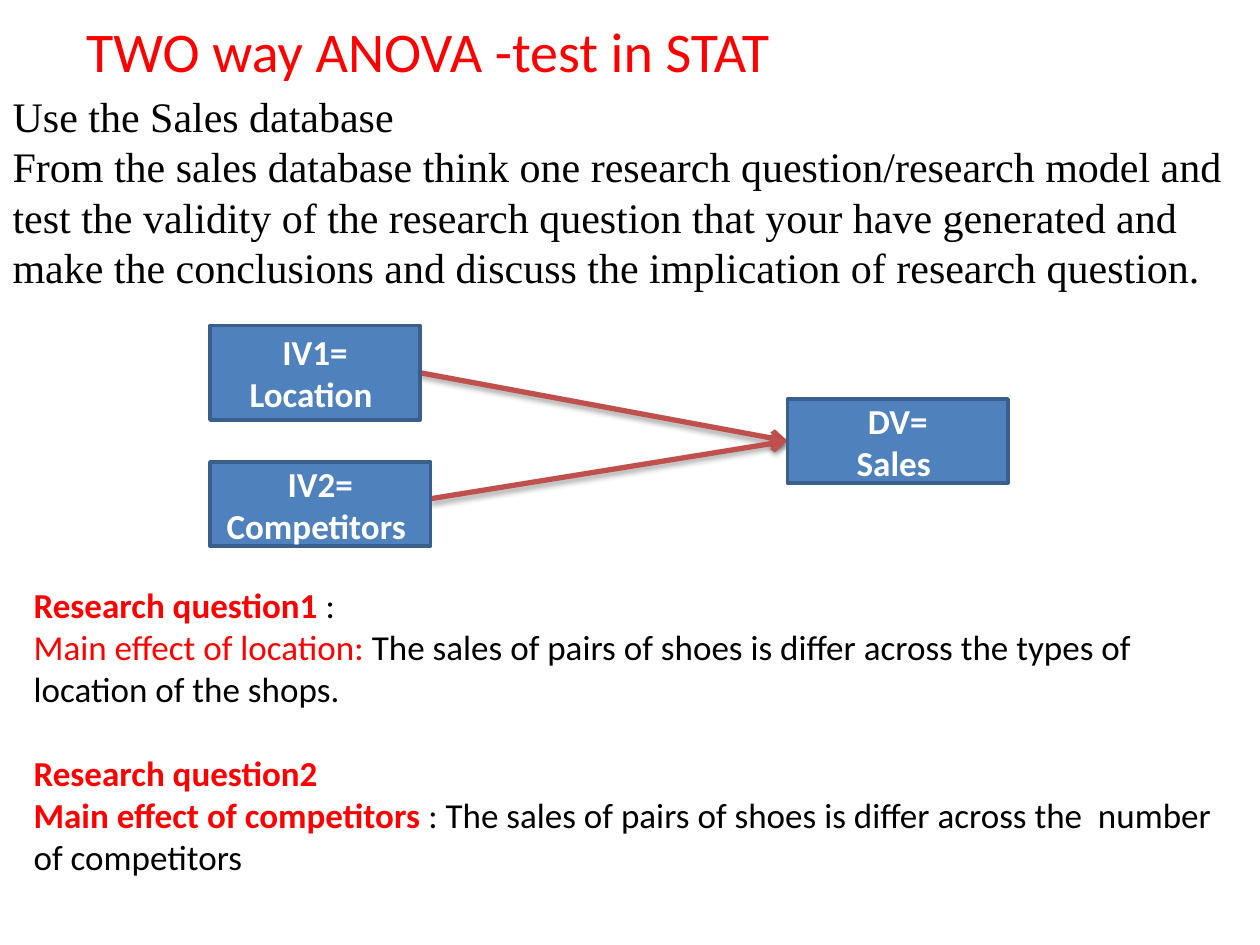
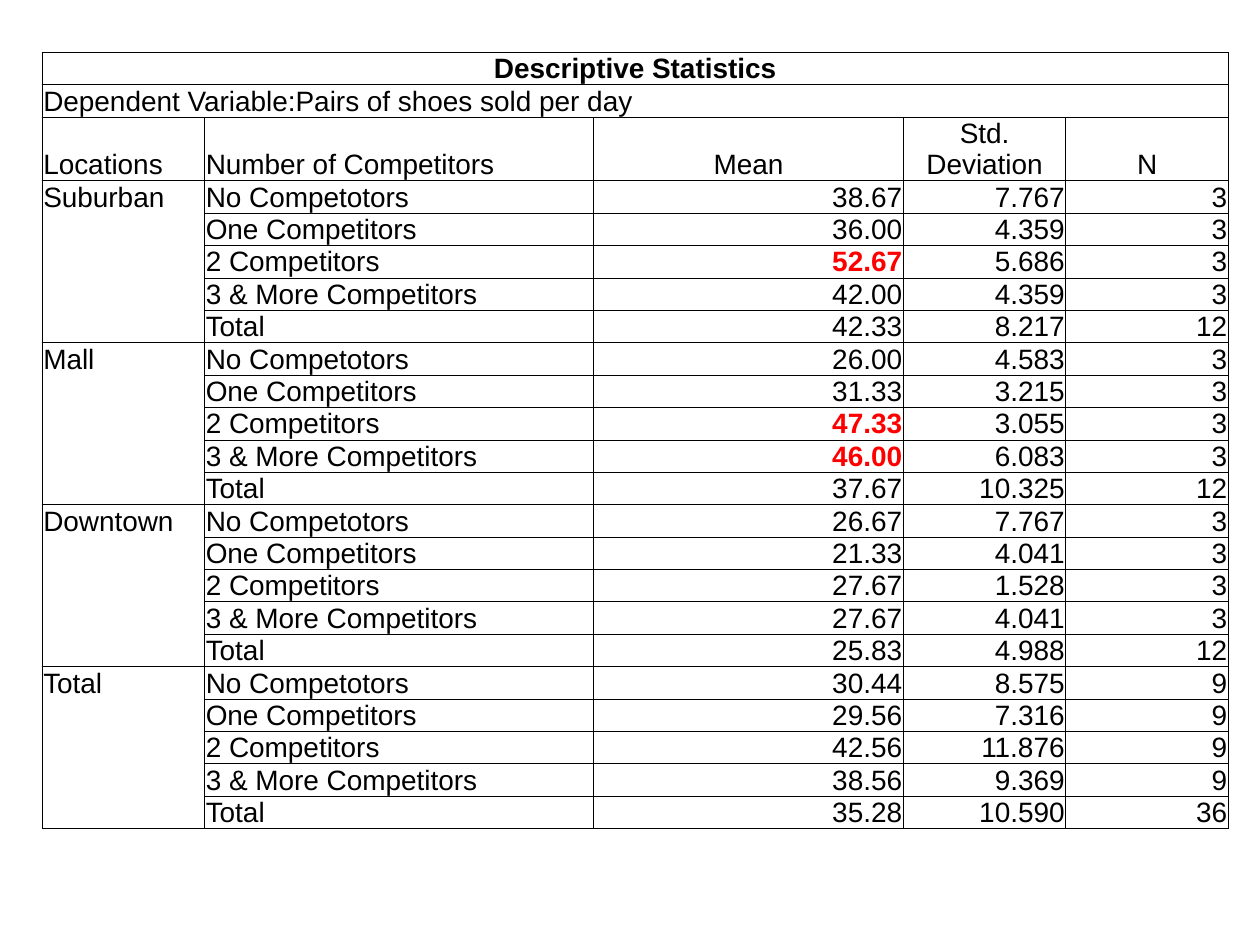
import collections

import lxml.etree
import pptx
import pptx.dml.color
import pptx.enum.shapes
import pptx.enum.text
import pptx.oxml
import pptx.oxml.ns
import pptx.util

Box = collections.namedtuple("Box", "left top width height")
Align = pptx.enum.text.PP_ALIGN
Anchor = pptx.enum.text.MSO_ANCHOR
qn = pptx.oxml.ns.qn

# Theme: colours, fonts and type styles; lengths are cells of a 120 x 90 grid
GRID = pptx.util.Inches(10) / 120
COLOURS = {"black": "000000", "red": "FF0000", "white": "FFFFFF",
           "fill": "4F81BD", "edge": "3A5F8C", "arrow": "C0504D"}
STYLES = {
    "title": {"name": "Calibri", "size": 32, "colour": "red"},
    "intro": {"name": "Times New Roman", "size": 24, "colour": "black"},
    "plain": {"name": "Calibri", "size": 20, "colour": "black", "bold": False},
    "accent": {"name": "Calibri", "size": 20, "colour": "red", "bold": False},
    "strong": {"name": "Calibri", "size": 20, "colour": "red", "bold": True},
    "node": {"name": "Calibri", "size": 20, "colour": "white", "bold": True},
    "cell": {"name": "Arial", "size": 16, "colour": "black", "bold": False},
    "heading": {"name": "Arial", "size": 16, "colour": "black", "bold": True},
    "peak": {"name": "Arial", "size": 16, "colour": "red", "bold": True},
}


def grid(cells):
    return pptx.util.Emu(round(cells * GRID))


def colour(name):
    return pptx.dml.color.RGBColor.from_string(COLOURS[name])


def apply(target, formats):
    for key, value in formats.items():
        setattr(target, key, value)


def place(shape, box):
    apply(shape, {side: grid(cells) for side, cells in box._asdict().items()})


def add_span(para, text, style):
    span = para.add_run()
    span.text = text
    formats = dict(STYLES[style])
    span.font.color.rgb = colour(formats.pop("colour"))
    formats["size"] = pptx.util.Pt(formats["size"])
    apply(span.font, formats)


def write(frame, paras, align=Align.LEFT):
    """Write paragraphs, each a list of (text, style) spans."""
    for index, spans in enumerate(paras):
        para = frame.add_paragraph() if index else frame.paragraphs[0]
        apply(para, {"alignment": align, "space_before": pptx.util.Pt(0)})
        for text, style in spans:
            add_span(para, text, style)


def fill_placeholder(holder, box, paras):
    """Place a placeholder and write unbulleted text in it."""
    place(holder, box)
    frame = holder.text_frame
    apply(frame, {"word_wrap": True, "vertical_anchor": Anchor.TOP,
                  "auto_size": pptx.enum.text.MSO_AUTO_SIZE.SHAPE_TO_FIT_TEXT})
    write(frame, paras)
    for para in frame.paragraphs:
        props = para._p.get_or_add_pPr()
        props.set("marL", "0")
        props.set("indent", "0")
        lxml.etree.SubElement(props, qn("a:buNone"))


# Research model diagram
def add_node(page, box, lines):
    node = page.shapes.add_shape(pptx.enum.shapes.MSO_SHAPE.RECTANGLE, *map(grid, box))
    node.shadow.inherit = False
    node.fill.solid()
    node.fill.fore_color.rgb = colour("fill")
    node.line.color.rgb = colour("edge")
    node.line.width = pptx.util.Pt(2)
    node.text_frame.vertical_anchor = Anchor.MIDDLE
    write(node.text_frame, [[(line, "node")] for line in lines], Align.CENTER)


def add_arrow(page, start, end):
    arrow = page.shapes.add_connector(pptx.enum.shapes.MSO_CONNECTOR.STRAIGHT,
                                      *map(grid, start + end))
    arrow.line.color.rgb = colour("arrow")
    arrow.line.width = pptx.util.Pt(3)
    props = arrow._element.spPr
    lxml.etree.SubElement(props.find(qn("a:ln")), qn("a:tailEnd"), type="arrow")
    effects = lxml.etree.SubElement(props, qn("a:effectLst"))
    shadow = lxml.etree.SubElement(effects, qn("a:outerShdw"), blurRad="40000",
                                   dist="23000", dir="5400000", rotWithShape="0")
    tint = lxml.etree.SubElement(shadow, qn("a:srgbClr"), val=COLOURS["black"])
    lxml.etree.SubElement(tint, qn("a:alpha"), val="35000")


def add_model(page, box):
    left, top = box.left, box.top
    target = (left + 55, top + 11)
    for start in ((20, 4.5), (21, 16.5)):
        add_arrow(page, (left + start[0], top + start[1]), target)
    nodes = [(Box(55, 7, 21, 8), ("DV=", "Sales ")),
             (Box(0, 0, 20, 9), ("IV1=", "Location ")),
             (Box(0, 13, 21, 8), ("IV2=", "Competitors "))]
    for part, lines in nodes:
        add_node(page, part._replace(left=left + part.left, top=top + part.top), lines)


def build_question_slide(deck):
    page = deck.slides.add_slide(deck.slide_layouts.get_by_name("Two Content"))
    title, intro, questions = page.placeholders
    fill_placeholder(title, Box(7, 1, 102, 7.7),
                     [[("TWO way ANOVA -test in STAT ", "title")]])
    fill_placeholder(intro, Box(0, 8, 120, 25.5), [
        [("Use the Sales database", "intro")],
        [("From the sales database think one research question/research model and "
          "test the validity of the research question that your have generated and "
          "make the conclusions and discuss the implication of research question. ",
          "intro")]])
    fill_placeholder(questions, Box(2, 55, 117, 33.5), [
        [("Research question1 ", "strong"), (": ", "plain")],
        [("Main effect of location: ", "accent"),
         ("The sales of pairs of shoes is differ across the types of "
          "location of the shops. ", "plain")],
        [("Research question2", "strong")],
        [("Main effect of competitors ", "strong"),
         (": The sales of pairs of shoes is differ across the  number "
          "of competitors  ", "plain")]])
    questions.text_frame.paragraphs[2].space_before = pptx.util.Pt(24)
    add_model(page, Box(20, 31, 76, 21))


# Descriptive statistics table
HEADERS = ["Locations", "Number of Competitors", "Mean", "Std. Deviation", "N"]
LEVELS = ["No Competotors", "One Competitors", "2 Competitors",
          "3 & More Competitors", "Total"]
STATS = {  # location: means, deviations, count per level
    "Suburban": ("38.67 36.00 52.67 42.00 42.33", "7.767 4.359 5.686 4.359 8.217", 3),
    "Mall": ("26.00 31.33 47.33 46.00 37.67", "4.583 3.215 3.055 6.083 10.325", 3),
    "Downtown": ("26.67 21.33 27.67 27.67 25.83", "7.767 4.041 1.528 4.041 4.988", 3),
    "Total": ("30.44 29.56 42.56 38.56 35.28", "8.575 7.316 11.876 9.369 10.590", 9),
}
PEAKS = {"52.67", "47.33", "46.00"}
COLUMN_SHARES = [0.137, 0.328, 0.261, 0.137, 0.137]


def frame_cell(cell):
    """Clear the fill, tighten the margins and draw thin black borders."""
    cell.fill.background()
    inset = pptx.util.Inches(0.01)
    apply(cell, {"margin_left": inset, "margin_right": inset,
                 "margin_top": inset, "margin_bottom": 0})
    props = cell._tc.get_or_add_tcPr()
    for index, side in enumerate(("lnL", "lnR", "lnT", "lnB")):
        border = lxml.etree.Element(qn("a:" + side), w=str(pptx.util.Pt(0.5)))
        paint = lxml.etree.SubElement(border, qn("a:solidFill"))
        lxml.etree.SubElement(paint, qn("a:srgbClr"), val=COLOURS["black"])
        props.insert(index, border)


def write_cell(cell, text, align=Align.LEFT, anchor=Anchor.TOP, style="cell"):
    cell.vertical_anchor = anchor
    write(cell.text_frame, [[(text, style)]], align)


def add_statistics(page, box):
    row_count = 3 + len(STATS) * len(LEVELS)
    holder = page.shapes.add_table(row_count, len(HEADERS), *map(grid, box))
    table = holder.table
    apply(table, {"first_row": False, "horz_banding": False})
    for column, share in zip(table.columns, COLUMN_SHARES):
        column.width = grid(box.width * share)
    for index, row in enumerate(table.rows):
        row.height = pptx.util.Inches(0.28 if index == 2 else 0.19)
        for cell in row.cells:
            frame_cell(cell)
    holder.height = grid(box.height)

    # Caption rows and column headers
    for row in (0, 1):
        table.cell(row, 0).merge(table.cell(row, len(HEADERS) - 1))
    write_cell(table.cell(0, 0), "Descriptive Statistics",
               Align.CENTER, Anchor.MIDDLE, "heading")
    write_cell(table.cell(1, 0), "Dependent Variable:Pairs of shoes sold per day",
               anchor=Anchor.BOTTOM)
    for column, text in enumerate(HEADERS):
        write_cell(table.cell(2, column), text,
                   Align.LEFT if column < 2 else Align.CENTER, Anchor.BOTTOM)

    # One block of rows per location
    for block, (location, (means, deviations, count)) in enumerate(STATS.items()):
        first = 3 + block * len(LEVELS)
        table.cell(first, 0).merge(table.cell(first + len(LEVELS) - 1, 0))
        write_cell(table.cell(first, 0), location)
        counts = [count] * 4 + [count * 4]
        records = zip(LEVELS, means.split(), deviations.split(), counts)
        for row, (level, *values) in enumerate(records, first):
            write_cell(table.cell(row, 1), level)
            for column, value in enumerate(values, 2):
                write_cell(table.cell(row, column), str(value), Align.RIGHT,
                           style="peak" if value in PEAKS else "cell")


def build_table_slide(deck):
    page = deck.slides.add_slide(deck.slide_layouts.get_by_name("Blank"))
    add_statistics(page, Box(4, 5, 113, 79.5))


deck = pptx.Presentation()
deck.slide_width, deck.slide_height = grid(120), grid(90)
build_question_slide(deck)
build_table_slide(deck)
deck.save("out.pptx")
